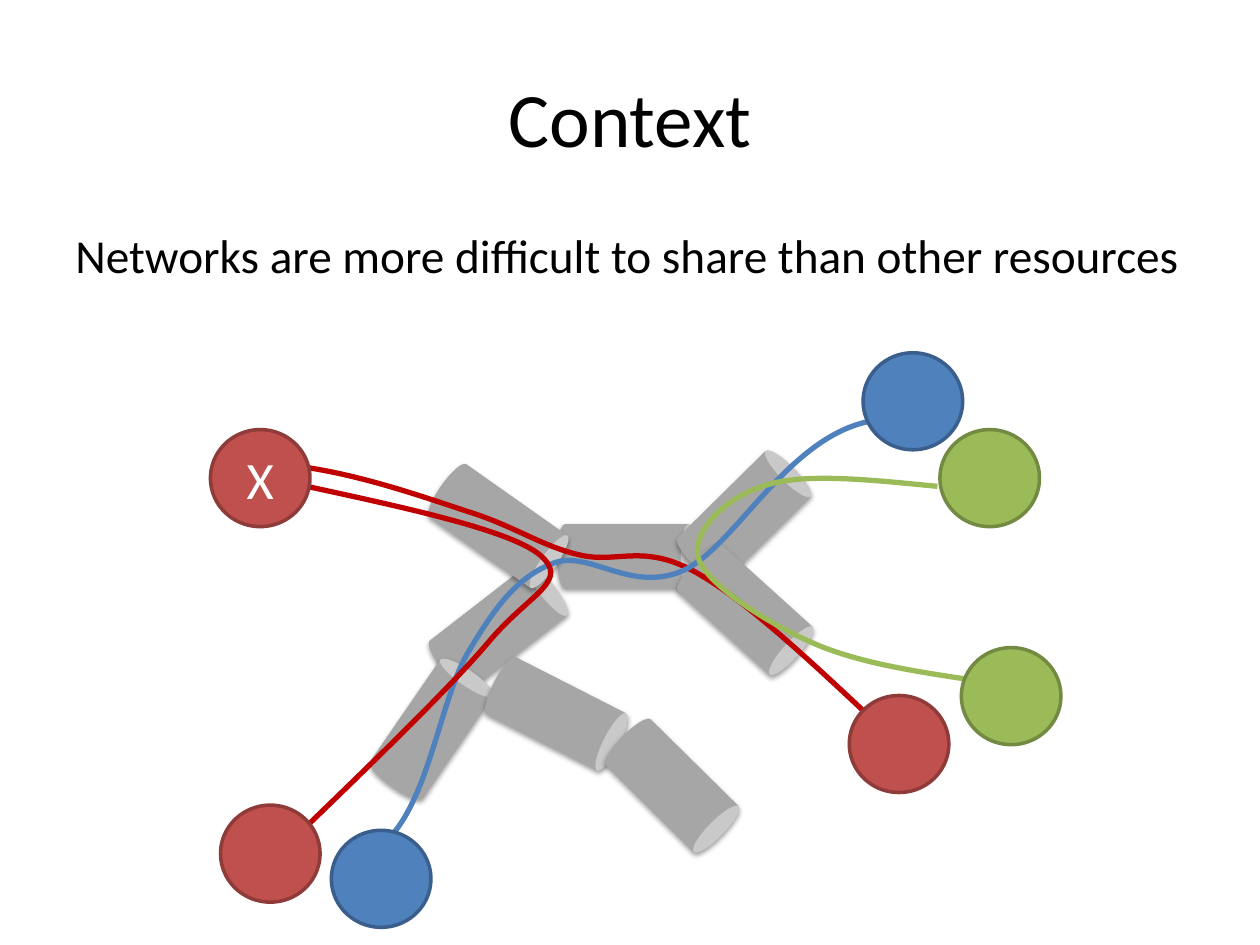
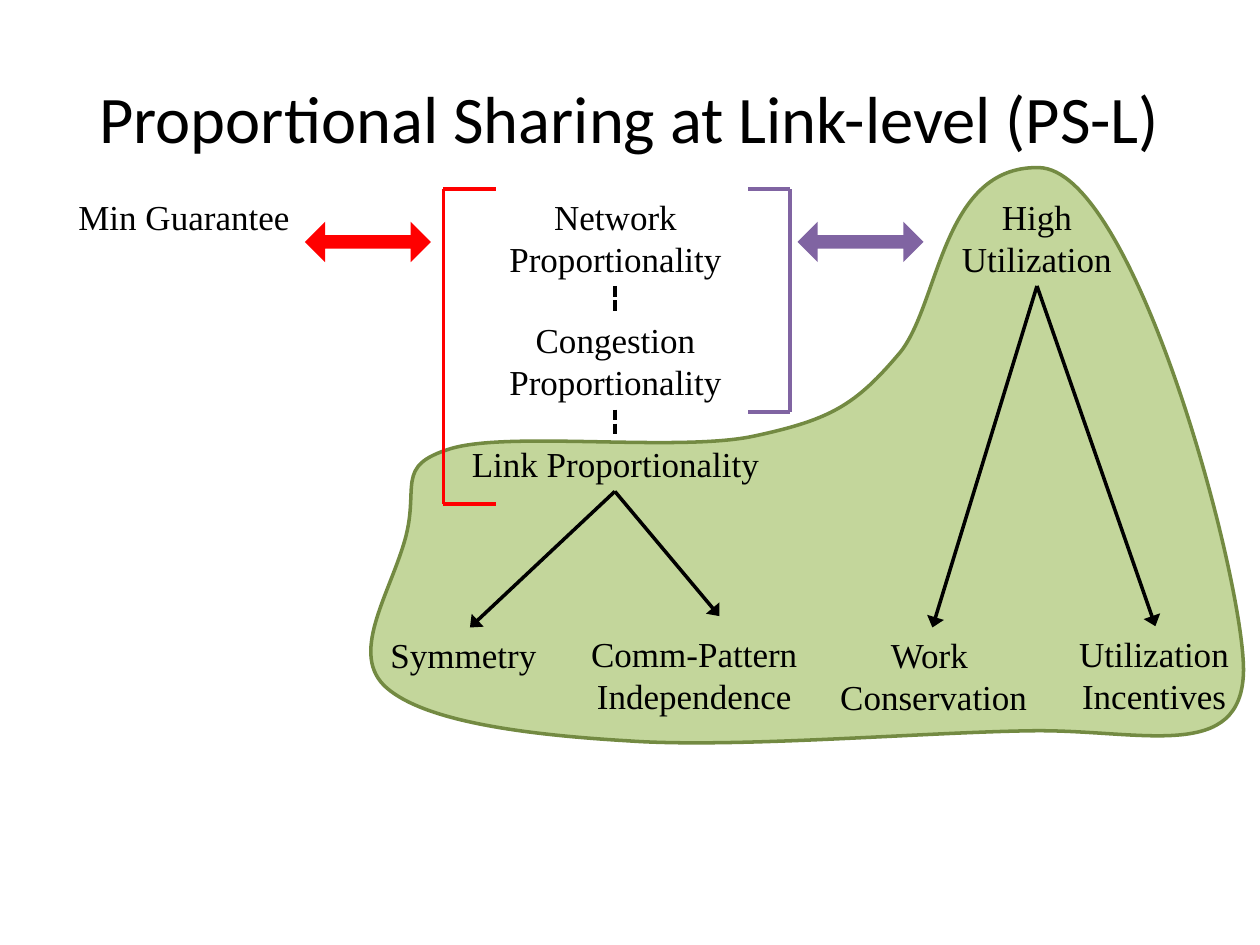
from dataclasses import dataclass

from lxml import etree
from pptx import Presentation
from pptx import util as u
from pptx.dml import color
from pptx.enum import dml, shapes, text
from pptx.oxml import ns

COLUMNS, ROWS = 10, 7.5
BOUND_STEPS = 40


@dataclass(frozen=True)
class Theme:
    ink: str = "000000"
    paper: str = "FFFFFF"
    red: str = "C0504D"
    red_edge: str = "8E3B39"
    blue: str = "4F81BD"
    blue_edge: str = "3A5F8C"
    green: str = "9BBB59"
    green_edge: str = "738A42"
    pipe: str = "A6A6A6"
    red_flow: str = "C00000"
    region: str = "C3D69B"
    conflict: str = "FF0000"
    tradeoff: str = "8064A2"
    sans: str = "Calibri"
    serif: str = "Times New Roman"
    title_size: float = 44
    long_title_size: float = 38
    body_size: float = 27
    node_size: float = 30
    label_size: float = 20
    edge: float = 2
    flow: float = 3


THEME = Theme()


def cells(*counts):
    return [u.Inches(count) for count in counts]


def rgb(code):
    return color.RGBColor.from_string(code)


def write(shape, lines, size, font, ink=THEME.ink, align=text.PP_ALIGN.CENTER):
    frame = shape.text_frame
    frame.word_wrap = True
    frame.text = "\n".join(lines)
    for paragraph in frame.paragraphs:
        paragraph.alignment = align
        paragraph.font.size = u.Pt(size)
        paragraph.font.name = font
        paragraph.font.color.rgb = rgb(ink)
    return frame


def paint(shape, fill=None, line=None, width=THEME.edge):
    shape.shadow.inherit = False
    if fill:
        shape.fill.solid()
        shape.fill.fore_color.rgb = rgb(fill)
    else:
        shape.fill.background()
    if line:
        shape.line.color.rgb = rgb(line)
        shape.line.width = u.Pt(width)
    else:
        shape.line.fill.background()


def add_title(page, words, size=THEME.title_size):
    box = page.shapes.add_textbox(*cells(0.5, 0.3, 9, 1.25))
    frame = write(box, [words], size, THEME.sans)
    frame.vertical_anchor = text.MSO_ANCHOR.MIDDLE


def add_body(page, words):
    box = page.shapes.add_textbox(*cells(0.5, 1.75, 9, 4.95))
    frame = write(box, [words], THEME.body_size, THEME.sans, align=text.PP_ALIGN.LEFT)
    frame.paragraphs[0].space_before = u.Pt(6)


def add_label(page, left, top, width, *lines, align=text.PP_ALIGN.CENTER, height=0.77):
    box = page.shapes.add_textbox(*cells(left, top, width, height))
    write(box, lines, THEME.label_size, THEME.serif, align=align)


def add_pipe(page, left, top, angle):
    pipe = page.shapes.add_shape(
        shapes.MSO_SHAPE.CAN, *cells(left, top, 0.51, 1.11))
    paint(pipe, THEME.pipe)
    pipe.rotation = angle
    effects = pipe._element.spPr.find(ns.qn("a:effectLst"))
    shadow = etree.SubElement(
        effects, ns.qn("a:outerShdw"), blurRad=str(u.Pt(3.1)),
        dist=str(u.Pt(1.6)), dir="5400000", rotWithShape="0")
    tint = etree.SubElement(shadow, ns.qn("a:srgbClr"), val=THEME.ink)
    etree.SubElement(tint, ns.qn("a:alpha"), val="38000")


def add_node(page, left, top, fill, edge, name=None):
    node = page.shapes.add_shape(
        shapes.MSO_SHAPE.OVAL, *cells(left, top, 0.79, 0.77))
    paint(node, fill, edge)
    if name:
        frame = write(node, [name], THEME.node_size, THEME.sans, THEME.paper)
        frame.margin_left = frame.margin_right = 0
        frame.vertical_anchor = text.MSO_ANCHOR.MIDDLE


def curve_range(values):
    reached = []
    for index in range(0, len(values) - 1, 3):
        a, b, c, d = values[index:index + 4]
        for step in range(BOUND_STEPS + 1):
            share = step / BOUND_STEPS
            rest = 1 - share
            reached.append(rest ** 3 * a + 3 * rest ** 2 * share * b
                           + 3 * rest * share ** 2 * c + share ** 3 * d)
    return min(reached), max(reached)


def add_curve(page, points, line, width, fill=None):
    (left, right), (top, bottom) = map(curve_range, zip(*points))
    builder = page.shapes.build_freeform(*cells(left, top))
    builder.add_line_segments([cells(right, bottom)], close=fill is not None)
    curve = builder.convert_to_shape()
    paint(curve, fill, line, width)

    outline = next(curve._element.iter(ns.qn("a:path")))
    start, segment = outline[:2]
    outline.remove(segment)
    start.clear()
    bends = [start]
    for _ in points[1::3]:
        bend = etree.Element(ns.qn("a:cubicBezTo"))
        bends[-1].addnext(bend)
        bends.append(bend)
    for index, (column, row) in enumerate(points):
        across, down = cells(column - left, row - top)
        etree.SubElement(bends[(index + 2) // 3], ns.qn("a:pt"),
                         x=str(across), y=str(down))


def add_line(parent, start, end, ink=THEME.ink, dashed=False, arrow=False):
    line = parent.shapes.add_connector(
        shapes.MSO_CONNECTOR.STRAIGHT, *cells(*start, *end))
    line.line.color.rgb = rgb(ink)
    line.line.width = u.Pt(THEME.edge)
    if dashed:
        line.line.dash_style = dml.MSO_LINE.SQUARE_DOT
    if arrow:
        etree.SubElement(line.line._get_or_add_ln(), ns.qn("a:tailEnd"),
                         type="triangle", w="lg", len="med")
    etree.SubElement(line._element.spPr, ns.qn("a:effectLst"))


def add_bracket(page, spine, tip, top, bottom, ink):
    bracket = page.shapes.add_group_shape()
    for row in (top, bottom):
        add_line(bracket, (spine, row), (tip, row), ink)
    add_line(bracket, (spine, top), (spine, bottom), ink)


def add_double_arrow(page, left, fill):
    arrow = page.shapes.add_shape(
        shapes.MSO_SHAPE.LEFT_RIGHT_ARROW, *cells(left, 1.76, 1, 0.32))
    arrow.adjustments[0] = 0.33
    arrow.adjustments[1] = 0.5
    paint(arrow, fill)


def build_context(page):
    add_title(page, "Context")
    add_body(page, "Networks are more difficult to share than other resources")

    for pipe in (
            (4.72, 3.86, 90), (3.7, 4.43, 52.2), (3.7, 3.62, 125.2),
            (3.17, 5.23, 34.5), (4.16, 5.11, 117), (5.65, 3.55, 45.4),
            (5.08, 5.68, 134.6), (5.66, 4.28, 132.1)):
        add_pipe(page, *pipe)

    flows = (
        (THEME.red_flow, [
            (2.43, 3.71), (2.89, 3.78), (3.35, 3.94), (3.71, 4.06),
            (4.07, 4.17), (4.29, 4.33), (4.58, 4.4),
            (4.88, 4.48), (5.07, 4.32), (5.46, 4.51),
            (5.84, 4.7), (6.35, 5.17), (6.85, 5.64)]),
        (THEME.blue, [
            (3.08, 6.66), (3.41, 6.33), (3.5, 5.53), (3.72, 5.17),
            (3.94, 4.8), (4.11, 4.58), (4.39, 4.47),
            (4.68, 4.36), (5, 4.71), (5.42, 4.53),
            (5.84, 4.34), (6.25, 3.46), (6.92, 3.34)]),
        (THEME.green, [
            (7.44, 3.86), (6.92, 3.81), (6.4, 3.75), (6.08, 3.85),
            (5.77, 3.94), (5.49, 4.21), (5.54, 4.42),
            (5.59, 4.62), (6.05, 4.92), (6.4, 5.08),
            (6.76, 5.25), (7.21, 5.32), (7.67, 5.39)]),
        (THEME.red_flow, [
            (2.39, 3.85), (3.17, 4.02), (4.03, 4.2), (4.28, 4.4),
            (4.53, 4.61), (4.22, 4.7), (3.9, 5.07),
            (3.59, 5.44), (2.99, 6.02), (2.39, 6.6)]))
    for ink, points in flows:
        add_curve(page, points, ink, THEME.flow)

    red = THEME.red, THEME.red_edge
    blue = THEME.blue, THEME.blue_edge
    green = THEME.green, THEME.green_edge
    add_node(page, 1.67, 3.41, *red, name="X")
    for left, top, tenant in (
            (6.74, 5.52, red), (2.63, 6.59, blue), (6.85, 2.8, blue),
            (7.46, 3.41, green), (7.63, 5.14, green), (1.75, 6.39, red)):
        add_node(page, left, top, *tenant)


def build_link_sharing(page):
    region = [
        (3.58, 3.56), (3.12, 3.7), (3.34, 3.86), (3.21, 4.3),
        (3.08, 4.74), (2.77, 5.2), (3.07, 5.46),
        (3.37, 5.72), (4.13, 5.83), (4.99, 5.88),
        (5.84, 5.94), (7.35, 5.81), (8.2, 5.8),
        (9.06, 5.79), (9.86, 6.06), (9.87, 5.32),
        (9.87, 4.57), (9, 1.33), (8.24, 1.33),
        (7.48, 1.32), (7.46, 2.39), (7.15, 2.79),
        (6.79, 3.22), (6.59, 3.33), (5.99, 3.46),
        (5.4, 3.59), (4.05, 3.42), (3.58, 3.56)]
    add_curve(page, region, THEME.green_edge, THEME.edge, THEME.region)
    add_title(page, "Proportional Sharing at Link-level (PS-L)", THEME.long_title_size)

    top, step, center = 1.5, 0.98, 4.88
    add_bracket(page, 3.52, 3.94, top, 4, THEME.conflict)
    add_bracket(page, 6.27, 5.94, top, 3.27, THEME.tradeoff)
    add_double_arrow(page, 2.42, THEME.conflict)
    add_double_arrow(page, 6.33, THEME.tradeoff)

    add_label(page, 0.5, top, 1.92, "Min Guarantee")
    add_label(page, 7.25, top, 1.96, "High Utilization")
    for level, scope in enumerate(("Network", "Congestion")):
        row = top + level * step
        add_label(page, 3.5, row, 2.77, f"{scope} Proportionality")
        add_line(page, (center, row + 0.77), (center, row + step), dashed=True)
    add_label(page, 3.52, top + 2 * step, 2.73, "Link Proportionality", height=0.44)

    base = 4.98
    add_label(page, 3, base, 1.46, "Symmetry", align=text.PP_ALIGN.LEFT, height=0.44)
    add_label(page, 4.5, 4.97, 2.02, "Comm-Pattern", "Independence")
    add_label(page, 6.42, base, 1.98, "Work ", "Conservation")
    add_label(page, 8.43, 4.97, 1.46, "Utilization", "Incentives")

    link, utilization = (center, 3.9), (8.23, 2.27)
    for start, end in (
            (link, (3.73, base)), (link, (5.71, 4.89)),
            (utilization, (7.4, base)), (utilization, (9.17, 4.97))):
        add_line(page, start, end, arrow=True)


def main():
    deck = Presentation()
    deck.slide_width, deck.slide_height = cells(COLUMNS, ROWS)
    for build in (build_context, build_link_sharing):
        build(deck.slides.add_slide(deck.slide_layouts[6]))
    deck.save("out.pptx")


if __name__ == "__main__":
    main()
